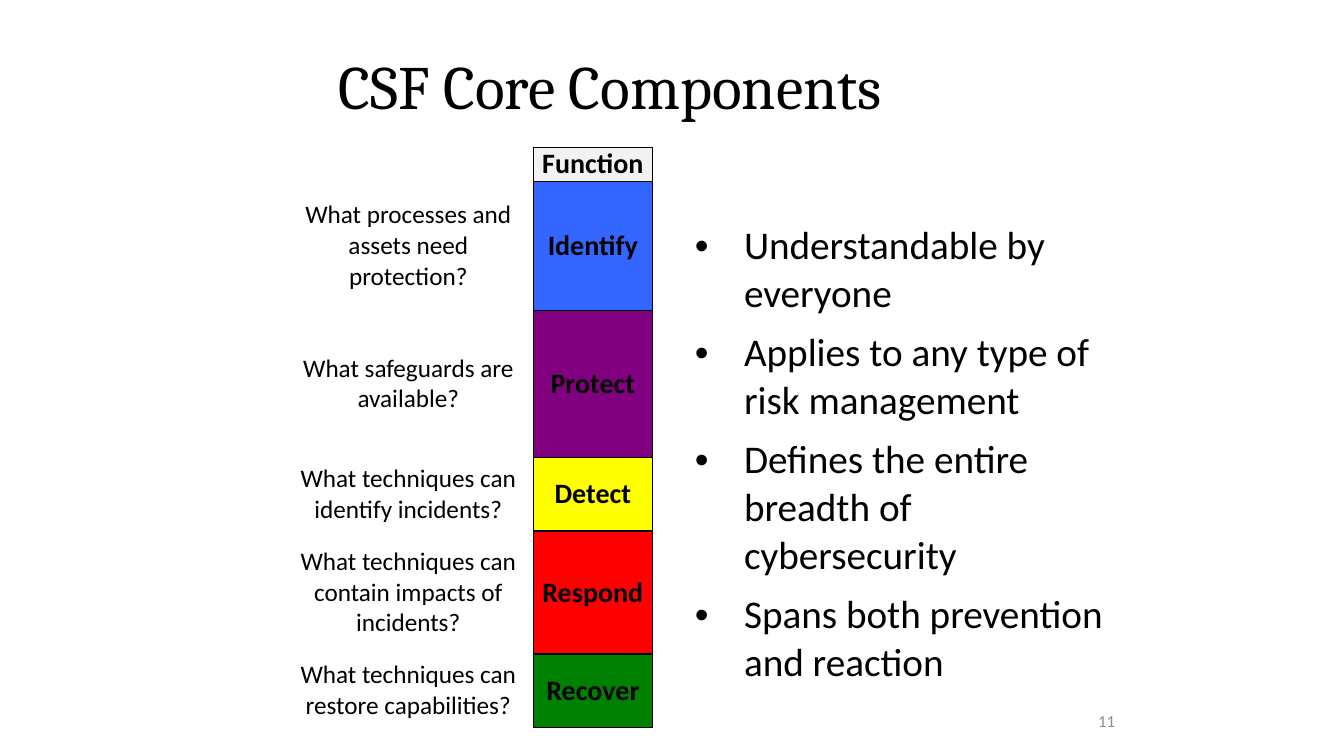
from lxml.etree import SubElement
from pptx import Presentation
from pptx.dml.color import RGBColor
from pptx.enum.text import MSO_ANCHOR, PP_ALIGN
from pptx.oxml.ns import qn
from pptx.util import Cm, Pt

TITLE = "CSF Core Components"
PAGE_NUMBER = "11"
HEADER = ("Function", "F2F2F2", 0.86)
FUNCTIONS = [
    ("What processes and assets need protection?", "Identify", "3366FF", 3.25),
    ("What safeguards are available?", "Protect", "800080", 3.71),
    ("What techniques can identify incidents?", "Detect", "FFFF00", 1.85),
    ("What techniques can contain impacts of incidents?", "Respond", "FF0000", 3.1),
    ("What techniques can restore capabilities?", "Recover", "008000", 1.85),
]
BENEFITS = [
    "Understandable by everyone",
    "Applies to any type of risk management",
    "Defines the entire breadth of cybersecurity",
    "Spans both prevention and reaction",
]
COLUMN_WIDTHS = (6.3, 3.0, 12.45)
TABLE_LEFT, TABLE_TOP = 7.14, 3.71
PLAIN_STYLE = "{2D5ABB26-0587-4C30-8999-92F81FD0307C}"

TITLE_FORMAT = {"name": "Cambria", "size": Pt(44)}
QUESTION_FORMAT = {"name": "Calibri", "size": Pt(18), "bold": False}
FUNCTION_FORMAT = {"name": "Calibri", "size": Pt(20), "bold": True}
BENEFIT_FORMAT = {"name": "Calibri", "size": Pt(28), "bold": False}
NUMBER_FORMAT = {"name": "Calibri", "size": Pt(12)}


def color(hex_string):
    return RGBColor.from_string(hex_string)


def write(paragraph, text, formats, alignment, hex_string="000000"):
    paragraph.alignment = alignment
    run = paragraph.add_run()
    run.text = text
    for name, value in formats.items():
        setattr(run.font, name, value)
    run.font.color.rgb = color(hex_string)


def add_text(slide, box, text, formats, alignment, hex_string="000000"):
    frame = slide.shapes.add_textbox(*map(Cm, box)).text_frame
    frame.word_wrap = True
    frame.vertical_anchor = MSO_ANCHOR.MIDDLE
    write(frame.paragraphs[0], text, formats, alignment, hex_string)
    return frame.paragraphs[0]


def set_margins(cell, horizontal, vertical):
    cell.margin_left = cell.margin_right = Cm(horizontal)
    cell.margin_top = cell.margin_bottom = Cm(vertical)


def add_borders(cell):
    properties = cell._tc.get_or_add_tcPr()
    for side in ("lnL", "lnR", "lnT", "lnB"):
        line = SubElement(properties, qn(f"a:{side}"), w=str(Pt(1)))
        fill = SubElement(line, qn("a:solidFill"))
        SubElement(fill, qn("a:srgbClr"), val="000000")


def fill_function(cell, name, hex_string):
    add_borders(cell)
    cell.fill.solid()
    cell.fill.fore_color.rgb = color(hex_string)
    write(cell.text_frame.paragraphs[0], name, FUNCTION_FORMAT, PP_ALIGN.CENTER)


def fill_benefits(cell):
    set_margins(cell, 0.38, 0.38)
    frame = cell.text_frame
    for index, benefit in enumerate(BENEFITS):
        paragraph = frame.add_paragraph() if index else frame.paragraphs[0]
        properties = paragraph._p.get_or_add_pPr()
        properties.set("marL", str(Cm(1.93)))
        properties.set("indent", str(Cm(-1.24)))
        paragraph.space_after = Pt(8)
        SubElement(properties, qn("a:buFont"), typeface="Arial")
        SubElement(properties, qn("a:buChar"), char="•")
        write(paragraph, benefit, BENEFIT_FORMAT, PP_ALIGN.LEFT)


def add_core_table(slide):
    heights = [HEADER[2]] + [height for *_, height in FUNCTIONS]
    table_frame = slide.shapes.add_table(
        len(heights), len(COLUMN_WIDTHS), Cm(TABLE_LEFT), Cm(TABLE_TOP),
        Cm(sum(COLUMN_WIDTHS)), Cm(sum(heights)))
    table = table_frame.table
    table.first_row = table.horz_banding = False
    table._tbl.tblPr.find(qn("a:tableStyleId")).text = PLAIN_STYLE
    for column, width in zip(table.columns, COLUMN_WIDTHS):
        column.width = Cm(width)
    for row, height in zip(table.rows, heights):
        row.height = Cm(height)
    for cell in table.iter_cells():
        set_margins(cell, 0.08, 0)
        cell.vertical_anchor = MSO_ANCHOR.MIDDLE
        cell.fill.background()
    for column in (0, 2):
        paragraph = table.cell(0, column).text_frame.paragraphs[0]
        SubElement(paragraph._p, qn("a:endParaRPr"), sz="1200")

    fill_function(table.cell(0, 1), *HEADER[:2])
    for row, (question, name, hex_string, _) in enumerate(FUNCTIONS, 1):
        paragraph = table.cell(row, 0).text_frame.paragraphs[0]
        write(paragraph, question, QUESTION_FORMAT, PP_ALIGN.CENTER)
        fill_function(table.cell(row, 1), name, hex_string)
    benefits_cell = table.cell(1, 2)
    benefits_cell.merge(table.cell(len(FUNCTIONS), 2))
    fill_benefits(benefits_cell)


def main():
    presentation = Presentation()
    presentation.slide_width, presentation.slide_height = Cm(33.87), Cm(19.05)
    slide = presentation.slides.add_slide(presentation.slide_layouts[6])
    title = add_text(slide, (3.64, 1.2, 23.5, 2.11), TITLE, TITLE_FORMAT, PP_ALIGN.CENTER)
    title.line_spacing = 0.9
    add_core_table(slide)
    add_text(slide, (22.43, 17.65, 5.92, 1.02), PAGE_NUMBER, NUMBER_FORMAT,
             PP_ALIGN.RIGHT, "8C8C8C")
    presentation.save("out.pptx")


if __name__ == "__main__":
    main()
